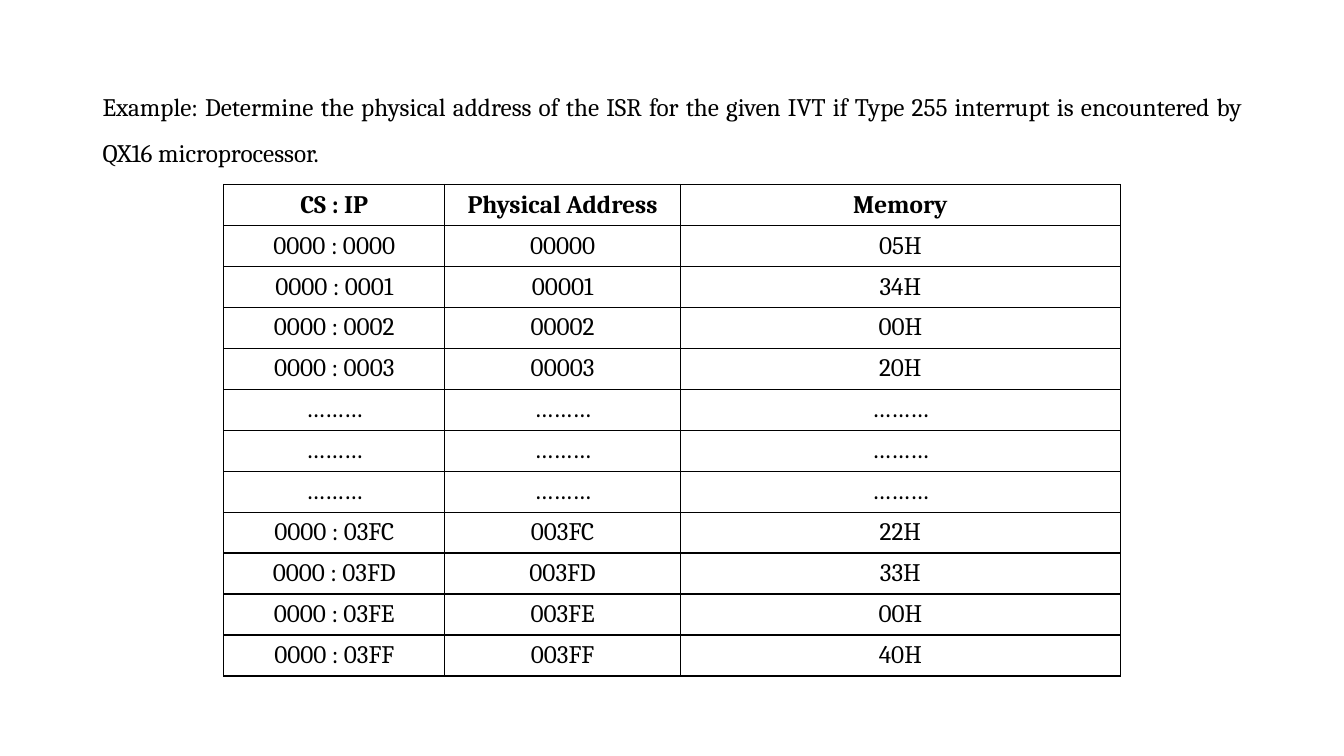
"""Build the slide with the interrupt vector table example for the QX16."""
import lxml.etree
import pptx
import pptx.dml.color
import pptx.enum.text
import pptx.oxml.ns
import pptx.util

BLACK = pptx.dml.color.RGBColor(0, 0, 0)
WHITE = pptx.dml.color.RGBColor(255, 255, 255)
Inches = pptx.util.Inches
Align = pptx.enum.text.PP_ALIGN
MIDDLE = pptx.enum.text.MSO_ANCHOR.MIDDLE


def style(para, alignment, bold=False):
    para.alignment = alignment
    for span in para.runs:
        span.font.name = "Cambria"
        span.font.size = pptx.util.Pt(18)
        span.font.bold = bold
        span.font.color.rgb = BLACK


def add_borders(cell):
    properties = cell._tc.get_or_add_tcPr()
    for side in ("a:lnL", "a:lnR", "a:lnT", "a:lnB"):
        line = lxml.etree.SubElement(properties, pptx.oxml.ns.qn(side), w=str(pptx.util.Pt(1)))
        fill = lxml.etree.SubElement(line, pptx.oxml.ns.qn("a:solidFill"))
        lxml.etree.SubElement(fill, pptx.oxml.ns.qn("a:srgbClr"), val=str(BLACK))


deck = pptx.Presentation()
deck.slide_width = Inches(13.33)
deck.slide_height = Inches(7.5)
page = deck.slides.add_slide(deck.slide_layouts[6])

box = page.shapes.add_textbox(Inches(0.92), Inches(0.75), Inches(11.5), Inches(0.92))
frame = box.text_frame
frame.word_wrap = True
frame.vertical_anchor = MIDDLE
frame.text = (
    "Example: Determine the physical address of the ISR for the given IVT "
    "if Type 255 interrupt is encountered by QX16 microprocessor."
)
question = frame.paragraphs[0]
question.line_spacing = 1.5
style(question, Align.JUSTIFY)

first_vector = [(0x000, "05H"), (0x001, "34H"), (0x002, "00H"), (0x003, "20H")]
last_vector = [(0x3FC, "22H"), (0x3FD, "33H"), (0x3FE, "00H"), (0x3FF, "40H")]
first_rows, last_rows = [
    [(f"0000 : {address:04X}", f"{address:05X}", value) for address, value in vector]
    for vector in (first_vector, last_vector)
]
gap_rows = [("………",) * 3] * 3
rows = [("CS : IP", "Physical Address", "Memory")] + first_rows + gap_rows + last_rows

column_widths = [2.19, 2.34, 4.36]
table = page.shapes.add_table(
    len(rows), len(column_widths),
    Inches(2.22), Inches(1.83), Inches(sum(column_widths)), Inches(4.88),
).table
for column, width in zip(table.columns, column_widths):
    column.width = Inches(width)

for row_index, texts in enumerate(rows):
    for column_index, text in enumerate(texts):
        cell = table.cell(row_index, column_index)
        cell.text_frame.text = text
        cell.vertical_anchor = MIDDLE
        cell.margin_top = cell.margin_bottom = Inches(0.02)
        add_borders(cell)
        cell.fill.solid()
        cell.fill.fore_color.rgb = WHITE
        style(cell.text_frame.paragraphs[0], Align.CENTER, bold=row_index == 0)

deck.save("out.pptx")
